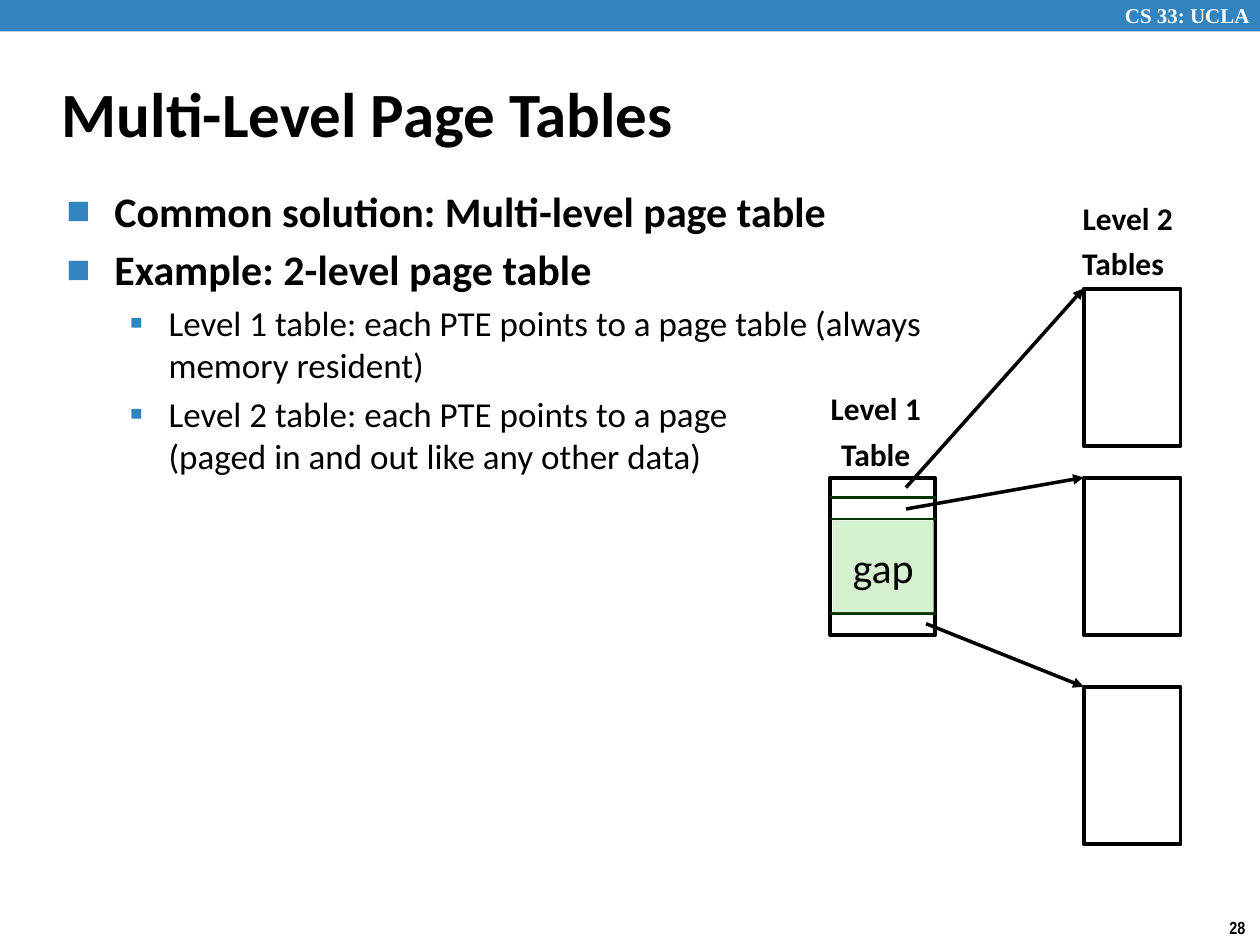
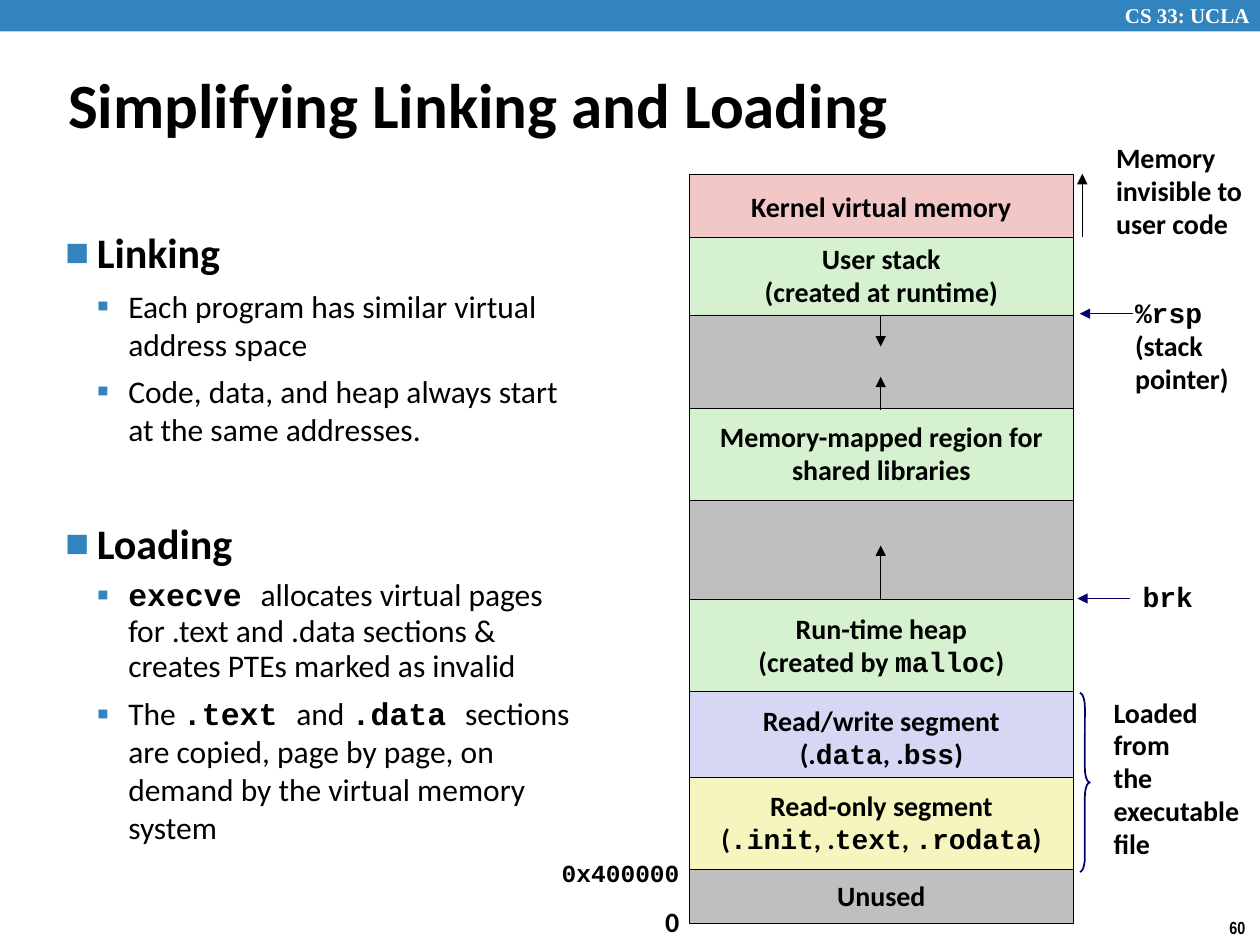
from dataclasses import dataclass
from itertools import accumulate
from typing import NamedTuple, Optional

from lxml import etree
from pptx import Presentation
from pptx.dml.color import RGBColor
from pptx.enum import shapes, text
from pptx.oxml.ns import qn
from pptx import util as u

# The slide is a grid of 10 columns by 7.5 rows; all lengths count grid cells.
COLUMNS, ROWS = 10, 7.5
CELL = u.Inches(1)

COLOURS = {
    "band": "3284BF", "white": "FFFFFF", "black": "000000",
    "kernel": "F1C7C7", "green": "D5F1CF", "unused": "BFBFBF",
    "data": "D6D6F5", "code": "F6F5BD", "entry": "003300", "navy": "000066",
}
BODY, MONO = "Calibri", "Courier New"
CENTER, LEFT = text.PP_ALIGN.CENTER, text.PP_ALIGN.LEFT


class Area(NamedTuple):
    left: float
    top: float
    width: float
    height: float


class Span(NamedTuple):
    words: str
    font: str = BODY
    bold: bool = True


class Bullet(NamedTuple):
    symbol: str
    percent: int
    margin: float
    hang: float


@dataclass
class Para:
    spans: list[Span]
    size: float = 16
    align: text.PP_ALIGN = LEFT
    before: float = 0
    spacing: Optional[float] = None
    bullet: Optional[Bullet] = None
    colour: str = "black"


@dataclass
class Region:
    """One band of the address space; overlap runs under the next band."""
    rows: float
    colour: str
    lines: list[list[Span]]
    overlap: float = 0


@dataclass
class Arrow:
    start: tuple[float, float]
    end: tuple[float, float]
    colour: str = "black"


def cells(count: float) -> int:
    return round(count * CELL)


def place(area: Area) -> list[int]:
    return [cells(value) for value in area]


def rgb(name: str) -> RGBColor:
    return RGBColor.from_string(COLOURS[name])


def code(words: str) -> Span:
    return Span(words, MONO)


def plain(words: str) -> Span:
    return Span(words, bold=False)


def lines_of(*lines: str) -> list[list[Span]]:
    return [[Span(line)] for line in lines]


def add_bullet(para, bullet: Bullet) -> None:
    props = para._p.get_or_add_pPr()
    props.set("marL", str(cells(bullet.margin)))
    props.set("indent", str(-cells(bullet.hang)))
    colour = etree.SubElement(props, qn("a:buClr"))
    etree.SubElement(colour, qn("a:srgbClr"), val=COLOURS["band"])
    etree.SubElement(props, qn("a:buSzPct"), val=str(bullet.percent * 1000))
    etree.SubElement(props, qn("a:buFont"), typeface=BODY)
    etree.SubElement(props, qn("a:buChar"), char=bullet.symbol)


def write(frame, paras: list[Para]) -> None:
    for index, item in enumerate(paras):
        para = frame.add_paragraph() if index else frame.paragraphs[0]
        if item.bullet:
            add_bullet(para, item.bullet)
        para.alignment = item.align
        para.space_before = u.Pt(item.before)
        if item.spacing:
            para.line_spacing = item.spacing
        for span in item.spans:
            for number, line in enumerate(span.words.split("\n")):
                if number:
                    para.add_line_break()
                run = para.add_run()
                run.text = line
                run.font.name, run.font.size = span.font, u.Pt(item.size)
                run.font.bold = span.bold
                run.font.color.rgb = rgb(item.colour)


def add_text(page, area: Area, paras: list[Para], wrap: bool = False) -> None:
    frame = page.shapes.add_textbox(*place(area)).text_frame
    frame.word_wrap = wrap
    write(frame, paras)


def add_label(page, area: Area, lines: list[list[Span]], size: float = 16) -> None:
    add_text(page, area, [Para(line, size, spacing=0.98) for line in lines])


def add_box(page, area: Area, fill: Optional[str] = None, line: Optional[str] = None,
            weight: float = 1, kind=shapes.MSO_SHAPE.RECTANGLE):
    box = page.shapes.add_shape(kind, *place(area))
    box.shadow.inherit = False
    if fill:
        box.fill.solid()
        box.fill.fore_color.rgb = rgb(fill)
    else:
        box.fill.background()
    if line:
        box.line.color.rgb = rgb(line)
        box.line.width = u.Pt(weight)
    else:
        box.line.fill.background()
    frame = box.text_frame
    frame.word_wrap = False
    frame.vertical_anchor = text.MSO_ANCHOR.MIDDLE
    return box


def add_line(page, line: Arrow, weight: float, head: bool = True) -> None:
    link = page.shapes.add_connector(
        shapes.MSO_CONNECTOR.STRAIGHT, *map(cells, line.start + line.end))
    link.line.color.rgb = rgb(line.colour)
    link.line.width = u.Pt(weight)
    if head:
        etree.SubElement(link.line._get_or_add_ln(), qn("a:tailEnd"), type="triangle")
    etree.SubElement(link._element.spPr, qn("a:effectLst"))


def start_page(deck, title: str, area: Area, number: int):
    """Add a slide with its course band, page number and title."""
    page = deck.slides.add_slide(deck.slide_layouts[5])
    add_box(page, Area(0, 0, COLUMNS, 0.25), "band")
    course = Span("CS 33: UCLA", "Times New Roman")
    add_text(page, Area(8.83, -0.03, 1.24, 0.3), [Para([course], 12, colour="white")])
    footer = Span(str(number), "Arial Narrow")
    add_text(page, Area(9.66, 7.23, 0.34, 0.27), [Para([footer], 10)])
    heading = page.shapes.title
    heading.left, heading.top, heading.width, heading.height = place(area)
    frame = heading.text_frame
    frame.auto_size = text.MSO_AUTO_SIZE.NONE
    frame.vertical_anchor = text.MSO_ANCHOR.MIDDLE
    write(frame, [Para([Span(title)], 36)])
    return page


def build_page_tables(deck) -> None:
    page = start_page(deck, "Multi-Level Page Tables", Area(0.39, 0.48, 8.3, 0.83), 28)
    point, detail = Bullet("■", 60, 0.38, 0.38), Bullet("▪", 110, 0.81, 0.31)
    add_text(page, Area(0.43, 1.42, 7.57, 5.44), [
        Para([Span("Common solution: Multi-level page table")], 24, bullet=point),
        Para([Span("Example: 2-level page table")], 24, before=4.8, bullet=point),
        Para([plain("Level 1 table: each PTE points to a page table "
                    "(always memory resident)")], 20, before=4, bullet=detail),
        Para([plain("Level 2 table: each PTE points to a page\n"
                    "(paged in and out like any other data)")],
             20, before=4, bullet=detail),
    ], wrap=True)

    for left, top, level, noun, align in ((6.49, 3.08, "Level 1", "Table", CENTER),
                                          (8.49, 1.57, "Level 2", "Tables", LEFT)):
        add_text(page, Area(left, top, 0.92, 0.73), [
            Para([Span(level)], 18, CENTER, spacing=0.88),
            Para([Span(noun)], 18, align, before=6.8, spacing=0.88)])

    table_height, first_left, second_left = 1.25, 6.59, 8.6
    add_box(page, Area(first_left, 3.79, 0.83, table_height), "white", "black", 2.25)
    entries = ((7.19, 3.87), (7.19, 4.04), (7.35, 4.95))
    for entry, top in zip(entries, (2.29, 3.79, 5.45)):
        add_box(page, Area(second_left, top, 0.77, table_height), "white", "black", 2.25)
        add_line(page, Arrow(entry, (second_left, top)), 2)
    for row in (3.95, 4.12, 4.87):
        add_line(page, Arrow((first_left, row), (7.43, row), "entry"), 1.5, head=False)
    gap = add_box(page, Area(6.61, 4.13, 0.8, 0.73), "green")
    write(gap.text_frame, [Para([plain("gap")], 24, CENTER)])


def add_memory_map(page) -> None:
    left, top, width = 5.47, 1.38, 3.05
    regions = [
        Region(0.5, "kernel", lines_of("Kernel virtual memory"), overlap=0.03),
        Region(0.62, "green", lines_of("User stack", "(created at runtime)")),
        Region(0.74, "unused", []),
        Region(0.73, "green", lines_of("Memory-mapped region for", "shared libraries")),
        Region(0.79, "unused", []),
        Region(0.73, "green", [[Span("Run-time heap")],
                               [Span("(created by "), code("malloc"), Span(")")]]),
        Region(0.68, "data", [[Span("Read/write segment")],
                              [Span("(."), code("data"), Span(", ."), code("bss"),
                               Span(")")]], overlap=0.05),
        Region(0.73, "code", [[Span("Read-only segment")],
                              [Span("("), code(".init"), Span(", ."), code("text"),
                               Span(", "), code(".rodata"), Span(")")]]),
        Region(0.43, "unused", lines_of("Unused")),
    ]
    tops = accumulate((region.rows for region in regions), initial=top)
    for region, region_top in zip(regions, tops):
        area = Area(left, region_top, width, region.rows + region.overlap)
        box = add_box(page, area, region.colour, "black", 0.25)
        write(box.text_frame, [Para(line, 16, CENTER, spacing=0.98)
                               for line in region.lines])

    middle = 6.99
    for arrow in (
        Arrow((middle, 2.5), (middle, 2.75)),
        Arrow((middle, 3.25), (middle, 2.99)),
        Arrow((middle, 4.75), (middle, 4.33)),
        Arrow((8.59, 1.88), (8.59, 1.38)),
        Arrow((8.99, 2.49), (8.57, 2.49), "navy"),
        Arrow((8.97, 4.75), (8.55, 4.75), "navy"),
    ):
        add_line(page, arrow, 0.25)
    brace = add_box(page, Area(8.57, 5.5, 0.08, 1.42), line="navy",
                    kind=shapes.MSO_SHAPE.RIGHT_BRACE)
    brace.adjustments[0] = 1.42

    add_label(page, Area(8.76, 1.08, 1.26, 0.89),
              lines_of("Memory", "invisible to", "user code"))
    add_label(page, Area(8.91, 2.31, 0.95, 0.88),
              [[code("%rsp")], *lines_of("(stack", "pointer)")])
    add_label(page, Area(8.97, 4.56, 0.6, 0.36), [[code("brk")]])
    add_label(page, Area(8.74, 5.48, 1.26, 1.42),
              lines_of("Loaded", "from", "the", "executable", "file"))
    add_label(page, Area(4.36, 6.77, 1.14, 0.33), [[code("0x400000")]], 14)
    add_label(page, Area(5.18, 7.14, 0.31, 0.37), lines_of("0"))


def build_linking(deck) -> None:
    page = start_page(deck, "Simplifying Linking and Loading",
                      Area(0.44, 0.39, 9.06, 0.86), 60)
    point, detail = Bullet("■", 60, 0.25, 0.25), Bullet("▪", 110, 0.5, 0.25)

    def item(*spans: Span, spacing: Optional[float] = None) -> Para:
        return Para(list(spans), 18, before=5.6, spacing=spacing, bullet=detail)

    add_text(page, Area(0.42, 1.75, 4.33, 5.23), [
        Para([Span("Linking")], 24, bullet=point),
        item(plain("Each program has similar virtual address space")),
        item(plain("Code, data, and heap always start at the same addresses.")),
        Para([Span("Loading")], 24, before=40, bullet=point),
        item(code("execve "),
             plain("allocates virtual pages for .text and .data sections & "
                   "creates PTEs marked as invalid"), spacing=0.94),
        item(plain("The "), code(".text "), plain("and "), code(".data "),
             plain("sections are copied, page by page, on demand by the "
                   "virtual memory system")),
    ], wrap=True)
    add_memory_map(page)


def main() -> None:
    deck = Presentation()
    deck.slide_width, deck.slide_height = cells(COLUMNS), cells(ROWS)
    build_page_tables(deck)
    build_linking(deck)
    deck.save("out.pptx")


if __name__ == "__main__":
    main()
